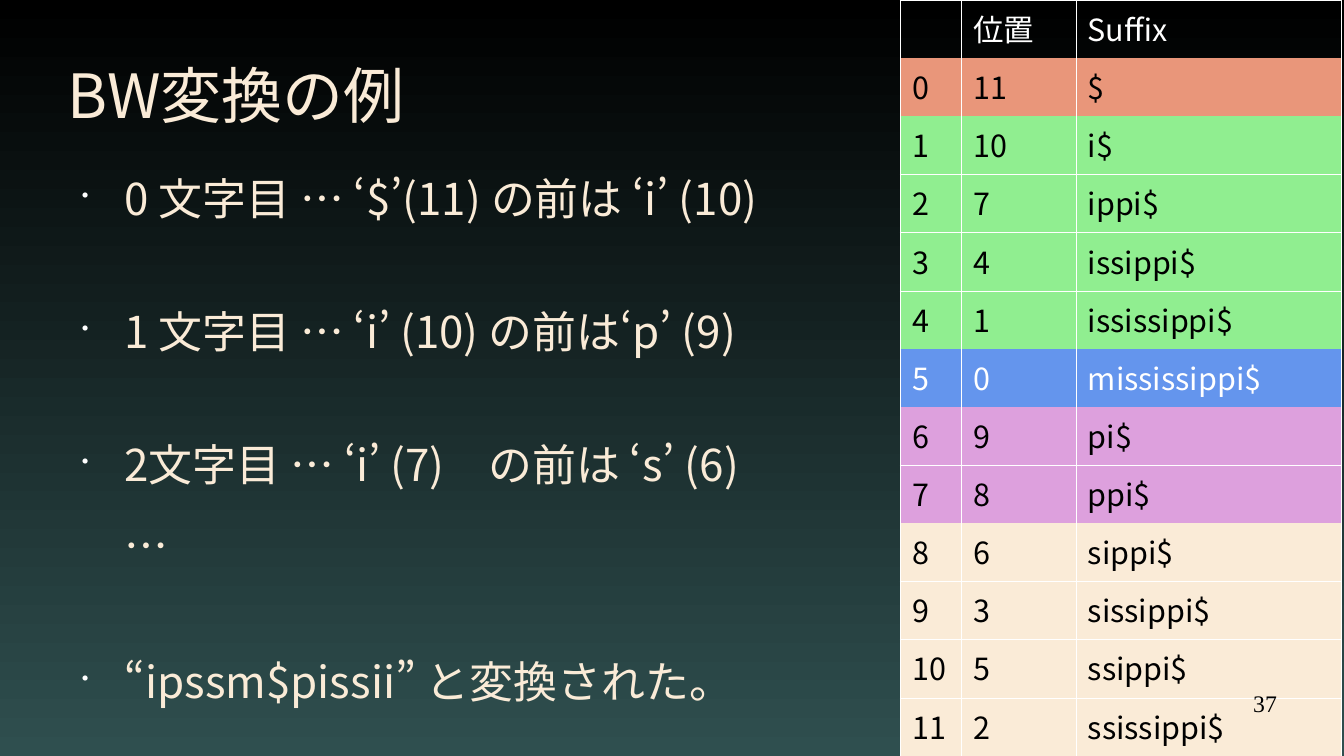
from lxml.etree import SubElement
from pptx import Presentation
from pptx.dml.color import RGBColor
from pptx.enum.lang import MSO_LANGUAGE_ID as LANG
from pptx.enum.text import MSO_ANCHOR as ANCHOR, PP_ALIGN as ALIGN
from pptx.oxml.ns import qn
from pptx.util import Inches, Pt

W, H = 11.02, 6.2
SANS, SERIF = "Noto Sans CJK JP", "Times New Roman"
COLORS = {
    "black": "000000", "white": "FFFFFF", "slate": "2F4F4F", "cream": "FAEBD7",
    "salmon": "E9967A", "green": "90EE90", "blue": "6495ED", "plum": "DDA0DD",
}
HEADER = ("", "位置", "Suffix")
TEXT = "mississippi$"
GROUPS = {"$": "salmon", "i": "green", "m": "blue", "p": "plum", "s": "cream"}
COLUMNS = (0.5, 0.94, 2.18)
# Text, space before in points, bulleted
STEPS = (
    ("0 文字目 … ‘$’(11) の前は ‘i’ (10)", 0, True),
    ("1 文字目 … ‘i’ (10) の前は‘p’ (9)", 50.5, True),
    ("2文字目 … ‘i’ (7)　の前は ‘s’ (6)", 50.5, True),
    ("…", 20, False),
    ("“ipssm$pissii” と変換された。", 52, True),
)


def rgb(name):
    return RGBColor.from_string(COLORS[name])


def set_attrs(obj, **values):
    for name, value in values.items():
        setattr(obj, name, value)


def write(p, text, size, color, face=SANS):
    r = p.add_run()
    r.text = text
    set_attrs(r.font, size=Pt(size), name=face, language_id=LANG.JAPANESE)
    r.font.color.rgb = rgb(color)
    SubElement(r._r.get_or_add_rPr(), qn("a:ea"), typeface=face)


def place(sp, left, top, width, height):
    set_attrs(sp, left=Inches(left), top=Inches(top),
              width=Inches(width), height=Inches(height))


def prepare(sp, anchor=ANCHOR.TOP):
    tf = sp.text_frame
    set_attrs(tf, word_wrap=True, vertical_anchor=anchor, margin_left=0,
              margin_right=0, margin_top=0, margin_bottom=0)
    return tf


def add_text_frame(s, left, top, width, height):
    box = s.shapes.add_textbox(*map(Inches, (left, top, width, height)))
    return prepare(box)


def set_indent(p, bulleted):
    pPr = p._p.get_or_add_pPr()
    pPr.set("marL", str(Inches(0.47)))
    pPr.set("indent", str(Inches(-0.35) if bulleted else 0))
    if bulleted:
        color = SubElement(pPr, qn("a:buClr"))
        SubElement(color, qn("a:srgbClr"), val=COLORS["white"])
        SubElement(pPr, qn("a:buSzPct"), val="45000")
        SubElement(pPr, qn("a:buChar"), char="•")
    else:
        SubElement(pPr, qn("a:buNone"))


def set_borders(cell, top, bottom):
    """Draw white hairlines at the sides, and above and below if asked."""
    tcPr = cell._tc.get_or_add_tcPr()
    edges = (("lnL", True), ("lnR", True), ("lnT", top), ("lnB", bottom))
    for i, (tag, shown) in enumerate(edges):
        ln = tcPr.makeelement(qn(f"a:{tag}"), {"w": str(Pt(0.06))})
        tcPr.insert(i, ln)
        if shown:
            fill = SubElement(ln, qn("a:solidFill"))
            SubElement(fill, qn("a:srgbClr"), val=COLORS["white"])
        else:
            SubElement(ln, qn("a:noFill"))


def paint_background(s):
    fill = s.background.fill
    fill.gradient()
    fill.gradient_angle = 270
    for stop, name in zip(fill.gradient_stops, ("black", "slate")):
        stop.color.rgb = rgb(name)


def add_title(s):
    title = s.shapes.title
    place(title, 0.05 * W, 0.04 * H, 5.91, 1.04)
    p = prepare(title, ANCHOR.MIDDLE).paragraphs[0]
    p.alignment = ALIGN.LEFT
    write(p, "BW変換の例", 36, "cream")


def add_suffix_table(s):
    order = sorted(range(len(TEXT)), key=lambda i: TEXT[i:])
    rows = [HEADER] + [(str(n), str(i), TEXT[i:]) for n, i in enumerate(order)]
    groups = [None] + [GROUPS[TEXT[i]] for i in order]
    frame = s.shapes.add_table(len(rows), len(COLUMNS), Inches(7.38), 0,
                               Inches(sum(COLUMNS)), Inches(H))
    table = frame.table
    set_attrs(table, first_row=False, horz_banding=False)
    for column, width in zip(table.columns, COLUMNS):
        column.width = Inches(width)
    last = len(rows) - 1
    for n, (row, group) in enumerate(zip(rows, groups)):
        table.rows[n].height = Inches(H / len(rows))
        top = n == 0 or groups[n - 1] == group
        bottom = n == last or groups[n + 1] == group
        color = "white" if group in (None, "blue") else "black"
        for cell, text in zip(table.rows[n].cells, row):
            if group:
                cell.fill.solid()
                cell.fill.fore_color.rgb = rgb(group)
            else:
                cell.fill.background()
            set_borders(cell, top, bottom)
            if text:
                write(cell.text_frame.paragraphs[0], text, 18, color)


def add_steps(s):
    tf = add_text_frame(s, 0.05 * W, 1.45, 0.9 * W, 4.53)
    for n, (text, gap, bulleted) in enumerate(STEPS):
        p = tf.add_paragraph() if n else tf.paragraphs[0]
        set_indent(p, bulleted)
        set_attrs(p, line_spacing=Pt(28), space_before=Pt(gap), space_after=Pt(0))
        write(p, text, 25.9, "cream")


def add_page_number(s):
    p = add_text_frame(s, 7.9, 5.65, 2.57, 0.43).paragraphs[0]
    p.alignment = ALIGN.RIGHT
    write(p, "37", 14, "black", SERIF)


def main():
    prs = Presentation()
    set_attrs(prs, slide_width=Inches(W), slide_height=Inches(H))
    s = prs.slides.add_slide(prs.slide_layouts[5])
    paint_background(s)
    add_title(s)
    add_suffix_table(s)
    add_steps(s)
    add_page_number(s)
    prs.save("out.pptx")


if __name__ == "__main__":
    main()
